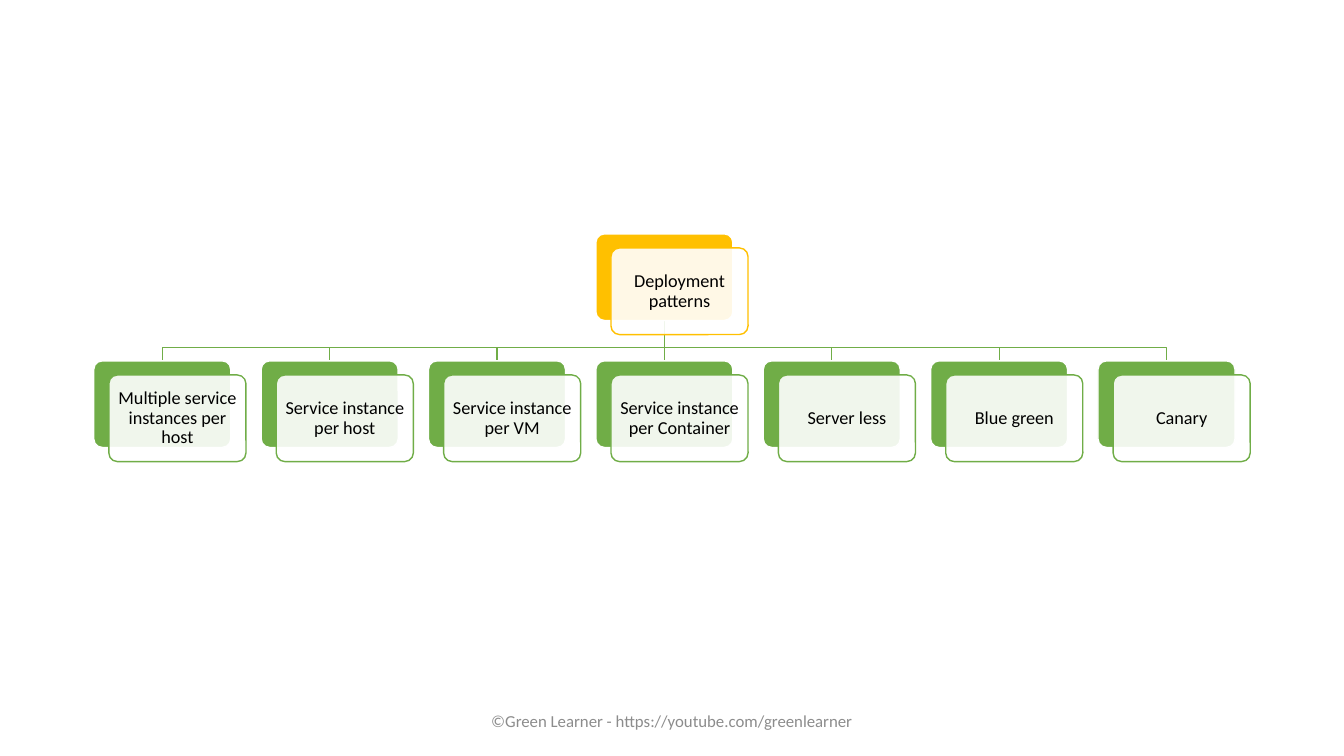
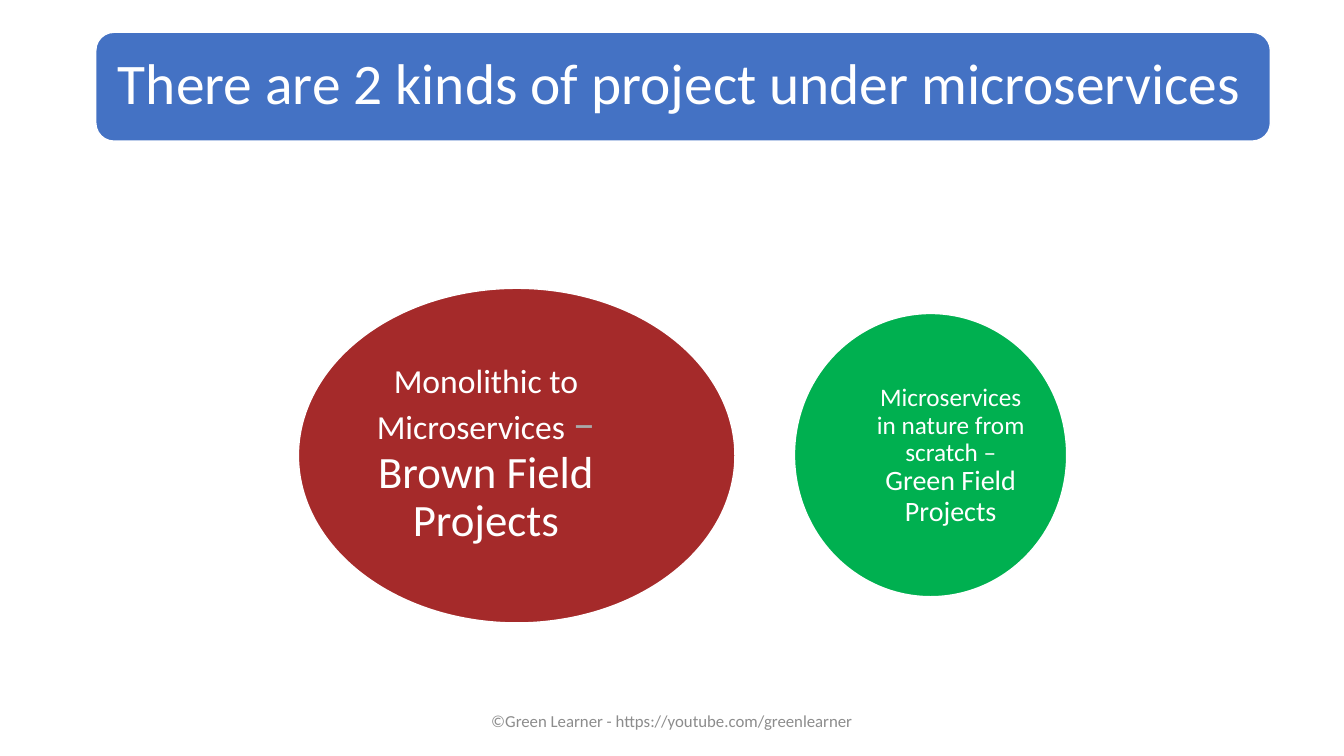
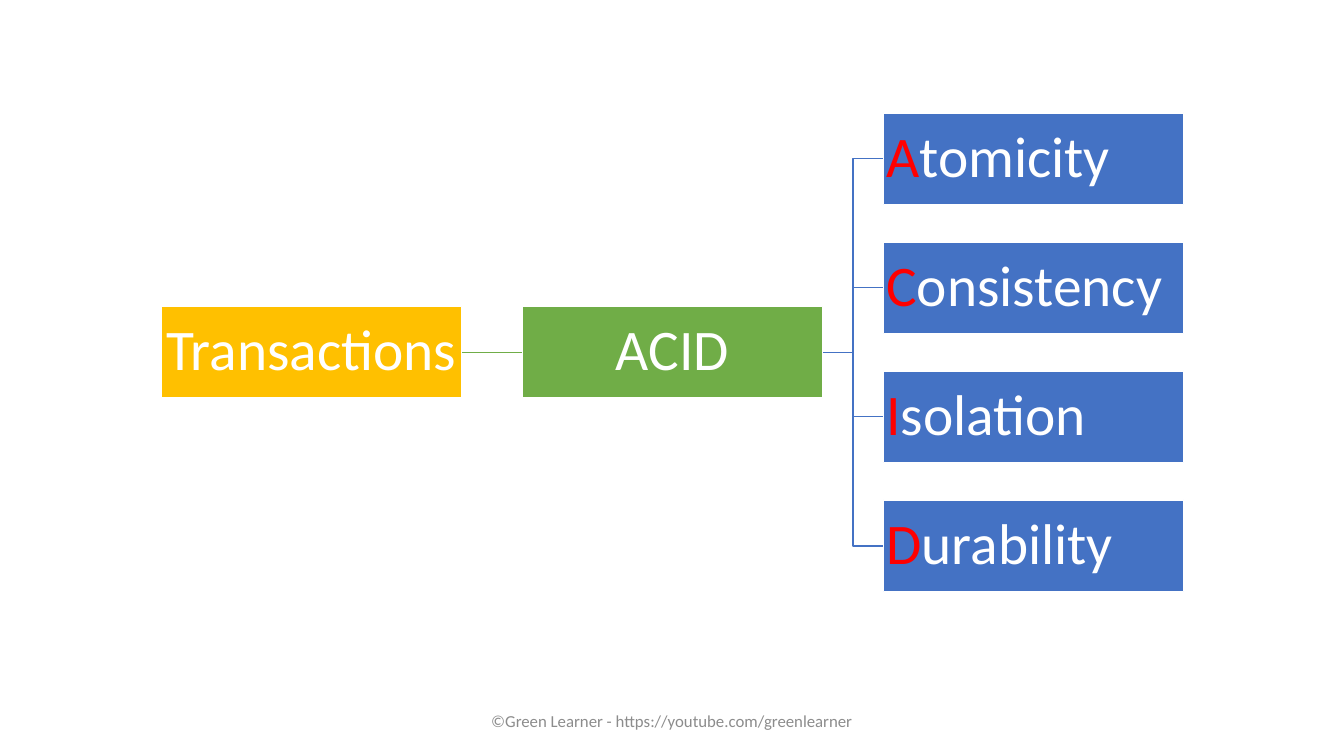
from lxml.etree import SubElement
from pptx import Presentation
from pptx.dml.color import RGBColor
from pptx.enum.shapes import MSO_CONNECTOR, MSO_SHAPE
from pptx.enum.text import MSO_ANCHOR, MSO_AUTO_SIZE, PP_ALIGN
from pptx.oxml.ns import qn
from pptx.util import Inches, Pt

WIDTH, HEIGHT = 13.33, 7.5
FONT = "Calibri"
WHITE, BLACK, GREY, SILVER = "FFFFFF", "000000", "8C8C8C", "A9A9A9"
GOLD, GREEN, BLUE = "FFC000", "70AD47", "4472C4"
BROWN, EMERALD, RED = "A52A2A", "00B050", "FF0000"
FOOTER = "©Green Learner - https://youtube.com/greenlearner"
TOP, LEFT, BOTTOM, RIGHT = range(4)
TITLE_ONLY, BLANK = 5, 6

CARD_WIDTH, CARD_HEIGHT = 1.36, 0.86
CARD_LEFT, CARD_STEP = 0.93, 1.66
ROOT_TOP, PATTERN_TOP, BRANCH_Y = 2.32, 3.58, 3.45
PATTERNS = [
    "Multiple service instances per host",
    "Service instance per host",
    "Service instance per VM",
    "Service instance per Container",
    "Server less",
    "Blue green",
    "Canary",
]

BOX_WIDTH, BOX_HEIGHT = 2.98, 0.91
BOX_LEFT, BOX_TOP = 1.6, 1.12
COLUMN_STEP, ROW_STEP = 3.58, 1.28
PROPERTIES = ["Atomicity", "Consistency", "Isolation", "Durability"]


def paint(fill, colour):
    fill.solid()
    fill.fore_color.rgb = RGBColor.from_string(colour)


def outline(line, colour):
    paint(line.fill, colour)
    line.width = Pt(1)


def inches(*lengths):
    return [Inches(length) for length in lengths]


def write(frame, runs, align=PP_ALIGN.CENTER, margin=0.0, spacing=0.9):
    frame.word_wrap = True
    frame.auto_size = MSO_AUTO_SIZE.NONE
    frame.vertical_anchor = MSO_ANCHOR.MIDDLE
    frame.margin_left = frame.margin_right = Inches(margin)
    frame.margin_top = frame.margin_bottom = Inches(margin)
    paragraph = frame.paragraphs[0]
    paragraph.alignment = align
    paragraph.line_spacing = spacing
    for text, size, colour in runs:
        run = paragraph.add_run()
        run.text = text
        run.font.name = FONT
        run.font.size = Pt(size)
        paint(run.font.fill, colour)


def add_text(slide, area, runs, **style):
    box = slide.shapes.add_textbox(*inches(*area))
    write(box.text_frame, runs, **style)


def add_block(slide, preset, area, colour, border=WHITE):
    block = slide.shapes.add_shape(preset, *inches(*area))
    block.shadow.inherit = False
    paint(block.fill, colour)
    outline(block.line, border)
    return block


def send_to_back(slide, link):
    slide.shapes._spTree.insert(2, link._element)


def add_branch(slide, points, colour):
    start, *rest = [inches(*point) for point in points]
    builder = slide.shapes.build_freeform(*start)
    builder.add_line_segments(rest, close=False)
    branch = builder.convert_to_shape()
    branch.shadow.inherit = False
    branch.fill.background()
    outline(branch.line, colour)
    send_to_back(slide, branch)


def add_straight(slide, origin, origin_side, target, target_side, colour):
    link = slide.shapes.add_connector(MSO_CONNECTOR.STRAIGHT, 0, 0, 0, 0)
    link.begin_connect(origin, origin_side)
    link.end_connect(target, target_side)
    outline(link.line, colour)
    SubElement(link._element.spPr, qn("a:effectLst"))
    send_to_back(slide, link)


def new_slide(deck, layout=BLANK):
    slide = deck.slides.add_slide(deck.slide_layouts[layout])
    add_text(slide, ((WIDTH - 4.5) / 2, 6.95, 4.5, 0.4), [(FOOTER, 12, GREY)], spacing=1.0)
    return slide


def card_left(column):
    return CARD_LEFT + column * CARD_STEP


def add_card(slide, column, top, text, colour):
    left = card_left(column)
    back = add_block(slide, MSO_SHAPE.ROUNDED_RECTANGLE,
                     (left, top, CARD_WIDTH, CARD_HEIGHT), colour)
    front = add_block(slide, MSO_SHAPE.ROUNDED_RECTANGLE,
                      (left + 0.15, top + 0.14, CARD_WIDTH, CARD_HEIGHT), WHITE, colour)
    for layer in (back, front):
        layer.adjustments[0] = 0.1
    tint = front._element.spPr.find(qn("a:solidFill"))[0]
    SubElement(tint, qn("a:alpha"), val="90000")
    write(front.text_frame, [(text, 13, BLACK)], margin=0.05)
    return back


def build_deployment(deck):
    slide = new_slide(deck)
    middle = len(PATTERNS) // 2
    root = add_card(slide, middle, ROOT_TOP, "Deployment patterns", GOLD)
    root_x = card_left(middle) + CARD_WIDTH / 2
    for column, pattern in enumerate(PATTERNS):
        card = add_card(slide, column, PATTERN_TOP, pattern, GREEN)
        if column == middle:
            add_straight(slide, root, BOTTOM, card, TOP, GREEN)
        else:
            card_x = card_left(column) + CARD_WIDTH / 2
            add_branch(slide, [(root_x, ROOT_TOP + CARD_HEIGHT), (root_x, BRANCH_Y),
                               (card_x, BRANCH_Y), (card_x, PATTERN_TOP)], GREEN)


def build_projects(deck):
    slide = new_slide(deck, TITLE_ONLY)
    add_block(slide, MSO_SHAPE.ROUNDED_RECTANGLE, (0.95, 0.32, 11.65, 1.08), BLUE)
    title = slide.shapes.title
    title.left, title.top, title.width, title.height = inches(1, 0.37, 11.55, 0.97)
    write(title.text_frame, [("There are 2 kinds of project under microservices", 41, WHITE)],
          align=PP_ALIGN.LEFT, margin=0.17)
    slide.shapes._spTree.append(title._element)

    add_block(slide, MSO_SHAPE.OVAL, (2.96, 2.86, 4.33, 3.32), BROWN)
    add_text(slide, (3.57, 3.25, 2.5, 2.54), [
        ("Monolithic to Microservices ", 24, WHITE),
        ("– ", 32, SILVER),
        ("Brown Field Projects", 32, WHITE),
    ])
    add_block(slide, MSO_SHAPE.OVAL, (7.88, 3.11, 2.7, 2.81), EMERALD)
    add_text(slide, (8.65, 3.45, 1.56, 2.15), [
        ("Microservices in nature from scratch – ", 18, WHITE),
        ("Green Field Projects", 20, WHITE),
    ])


def add_box(slide, column, row, runs, colour, align=PP_ALIGN.CENTER):
    area = (BOX_LEFT + column * COLUMN_STEP, BOX_TOP + row * ROW_STEP, BOX_WIDTH, BOX_HEIGHT)
    box = add_block(slide, MSO_SHAPE.RECTANGLE, area, colour)
    write(box.text_frame, [(text, 41, shade) for text, shade in runs], align, margin=0.03)
    return box


def build_transactions(deck):
    slide = new_slide(deck)
    middle = (len(PROPERTIES) - 1) / 2
    transactions = add_box(slide, 0, middle, [("Transactions", WHITE)], GOLD)
    acid = add_box(slide, 1, middle, [("ACID", WHITE)], GREEN)
    add_straight(slide, transactions, RIGHT, acid, LEFT, GREEN)

    acid_right = BOX_LEFT + COLUMN_STEP + BOX_WIDTH
    property_left = BOX_LEFT + 2 * COLUMN_STEP
    bend_x = (acid_right + property_left) / 2
    acid_y = BOX_TOP + middle * ROW_STEP + BOX_HEIGHT / 2
    for row, name in enumerate(PROPERTIES):
        add_box(slide, 2, row, [(name[0], RED), (name[1:], WHITE)], BLUE, PP_ALIGN.LEFT)
        property_y = BOX_TOP + row * ROW_STEP + BOX_HEIGHT / 2
        add_branch(slide, [(acid_right, acid_y), (bend_x, acid_y),
                           (bend_x, property_y), (property_left, property_y)], BLUE)


def main():
    deck = Presentation()
    deck.slide_width, deck.slide_height = inches(WIDTH, HEIGHT)
    build_deployment(deck)
    build_projects(deck)
    build_transactions(deck)
    deck.save("out.pptx")


if __name__ == "__main__":
    main()
